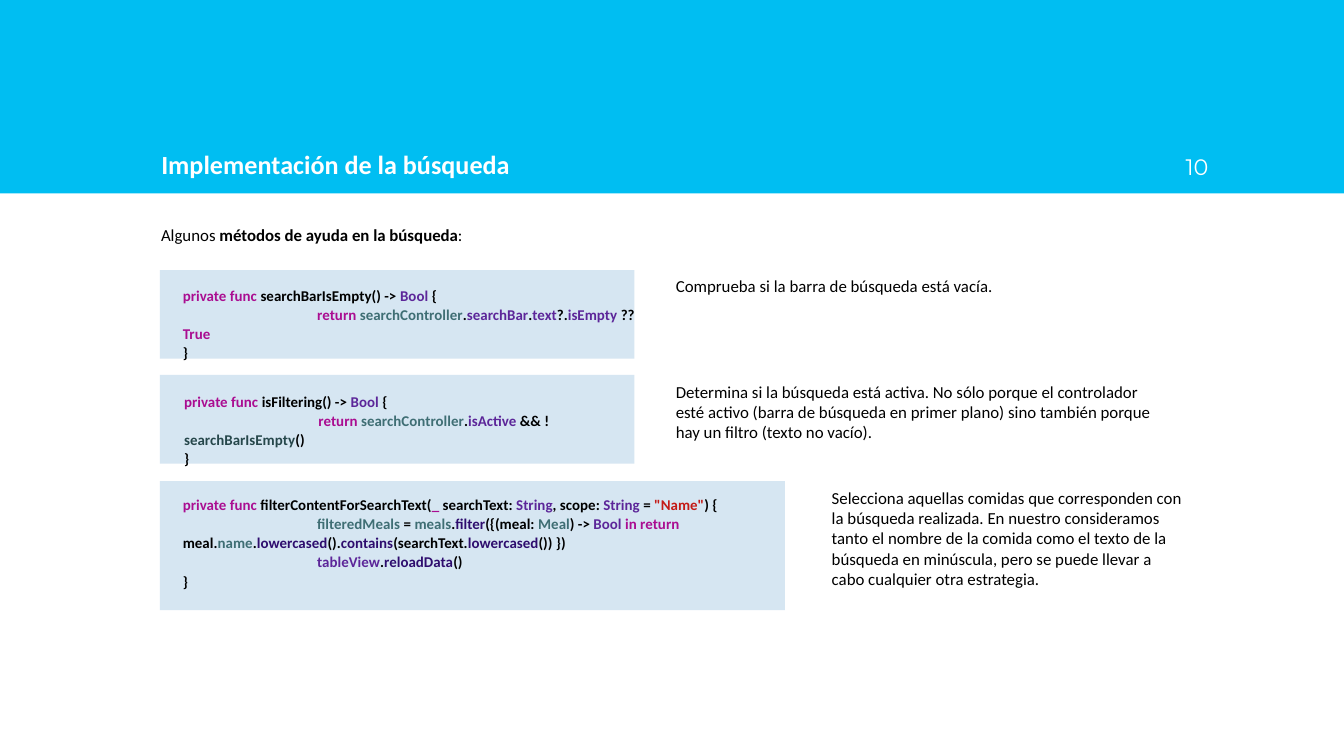
from lxml import etree
from pptx import Presentation
from pptx.dml.color import RGBColor
from pptx.enum.shapes import MSO_SHAPE
from pptx.enum.text import MSO_ANCHOR, MSO_AUTO_SIZE, PP_ALIGN
from pptx.oxml.ns import qn
from pptx.util import Inches, Pt

RECTANGLE = MSO_SHAPE.RECTANGLE
BOTTOM = MSO_ANCHOR.BOTTOM
NO_AUTOFIT = MSO_AUTO_SIZE.NONE
LEFT, RIGHT = PP_ALIGN.LEFT, PP_ALIGN.RIGHT


class Theme:
    font = "Calibri"
    number_font = "Montserrat"
    title_size = 14
    number_size = 12
    body_size = 9
    code_size = 8
    code_spacing = 1.07
    band = "00BEF2"
    panel = "D6E6F2"
    white = "FFFFFF"
    plain = "000000"
    keyword = "AA0D91"
    system = "5C2699"
    own = "3F6E74"
    own_call = "26474B"
    call = "2E0D6E"
    string = "C41A16"


def add_rectangle(left, top, width, height, color):
    shape = page.shapes.add_shape(
        RECTANGLE, Inches(left), Inches(top), Inches(width), Inches(height))
    shape.shadow.inherit = False
    shape.fill.solid()
    shape.fill.fore_color.rgb = RGBColor.from_string(color)
    shape.line.fill.background()
    return shape


def add_span(para, text, size, color, bold=False, font=Theme.font):
    span = para.add_run()
    span.text = text
    span.font.name = font
    span.font.size = Pt(size)
    span.font.bold = bold
    span.font.color.rgb = RGBColor.from_string(color)


deck = Presentation()
deck.slide_width = Inches(10)
deck.slide_height = deck.slide_width * 9 // 16
page = deck.slides.add_slide(deck.slide_layouts[5])

# Header band behind the title, and the page number
title = page.shapes.title
band = add_rectangle(0, 0, 10, 1.44, Theme.band)
title.element.addprevious(band.element)
title.left, title.top = Inches(1.1), Inches(0.71)
title.width, title.height = Inches(7.8), Inches(0.73)
number = page.shapes.add_textbox(
    Inches(8.49), Inches(0.71), Inches(0.6), Inches(0.73))
for box, align in ((title, LEFT), (number, RIGHT)):
    frame = box.text_frame
    frame.word_wrap = True
    frame.auto_size = NO_AUTOFIT
    frame.vertical_anchor = BOTTOM
    frame.margin_left = frame.margin_right = Inches(0.1)
    frame.margin_top = frame.margin_bottom = Inches(0.1)
    frame.paragraphs[0].alignment = align
add_span(title.text_frame.paragraphs[0], "Implementación de la búsqueda",
         Theme.title_size, Theme.white, bold=True)
add_span(number.text_frame.paragraphs[0], "10",
         Theme.number_size, Theme.white, font=Theme.number_font)

# Panels behind the code: left, top, width, height
for panel in ((1.19, 2.01, 3.53, 0.66),
              (1.19, 2.79, 3.53, 0.66),
              (1.19, 3.58, 4.65, 0.96)):
    add_rectangle(*panel, Theme.panel)

# Code: each line is a list of (text, color)
search_bar_code = [
    [("private func ", Theme.keyword), ("searchBarIsEmpty() -> ", Theme.plain),
     ("Bool ", Theme.system), ("{", Theme.plain)],
    [("\treturn ", Theme.keyword), ("searchController", Theme.own),
     (".", Theme.plain), ("searchBar", Theme.system), (".", Theme.plain),
     ("text", Theme.system), ("?.", Theme.plain), ("isEmpty", Theme.system),
     (" ?? ", Theme.plain), ("True", Theme.keyword)],
    [("}", Theme.plain)],
]
filtering_code = [
    [("private func ", Theme.keyword), ("isFiltering() -> ", Theme.plain),
     ("Bool ", Theme.system), ("{", Theme.plain)],
    [("\treturn ", Theme.keyword), ("searchController", Theme.own),
     (".", Theme.plain), ("isActive", Theme.system), (" && !", Theme.plain),
     ("searchBarIsEmpty", Theme.own_call), ("()", Theme.plain)],
    [("}", Theme.plain)],
]
filter_content_code = [
    [("private func ", Theme.keyword),
     ("filterContentForSearchText(", Theme.plain), ("_ ", Theme.keyword),
     ("searchText: ", Theme.plain), ("String", Theme.system),
     (", scope: ", Theme.plain), ("String", Theme.system),
     (" = ", Theme.plain), ('"Name"', Theme.string), (") {", Theme.plain)],
    [("\tfilteredMeals ", Theme.own), ("= ", Theme.plain),
     ("meals", Theme.own), (".", Theme.plain), ("filter", Theme.call),
     ("({(meal: ", Theme.plain), ("Meal", Theme.own), (") -> ", Theme.plain),
     ("Bool ", Theme.system), ("in return \t", Theme.keyword),
     ("meal.", Theme.plain), ("name", Theme.own), (".", Theme.plain),
     ("lowercased", Theme.call), ("().", Theme.plain),
     ("contains", Theme.call), ("(searchText.", Theme.plain),
     ("lowercased", Theme.call), ("()) })", Theme.plain)],
    [("\ttableView", Theme.system), (".", Theme.plain),
     ("reloadData", Theme.call), ("()", Theme.plain)],
    [("}", Theme.plain)],
]
# left, top, width, height, left margin, code
for left, top, width, height, margin, code in (
        (0.69, 2.02, 4.31, 0.59, 0.67, search_bar_code),
        (1.19, 2.81, 3.53, 0.58, 0.18, filtering_code),
        (0.69, 3.58, 5.06, 1.1, 0.67, filter_content_code)):
    box = page.shapes.add_textbox(
        Inches(left), Inches(top), Inches(width), Inches(height))
    frame = box.text_frame
    frame.word_wrap = True
    frame.margin_left = Inches(margin)
    frame.margin_top = frame.margin_right = frame.margin_bottom = Inches(0.1)
    for index, line in enumerate(code):
        para = frame.add_paragraph() if index else frame.paragraphs[0]
        para.line_spacing = Theme.code_spacing
        tabs = etree.SubElement(para._p.get_or_add_pPr(), qn("a:tabLst"))
        etree.SubElement(tabs, qn("a:tab"), pos=str(Inches(1)), algn="l")
        for text, color in line:
            add_span(para, text, Theme.code_size, color, bold=True)

# Introduction and explanations: left, top, width, height, (text, bold) spans
for left, top, width, height, spans in (
        (1.1, 1.62, 7.66, 0.25,
         [("Algunos ", False), ("métodos de ayuda en la búsqueda", True),
          (":", False)]),
        (4.93, 2, 2.69, 0.25,
         [("Comprueba si la barra de búsqueda está vacía.", False)]),
        (4.93, 2.79, 3.83, 0.56,
         [("Determina si la búsqueda está activa. No sólo porque el "
           "controlador esté activo (barra de búsqueda en primer plano) sino "
           "también porque hay un filtro (texto no vacío).", False)]),
        (6.09, 3.58, 2.81, 0.86,
         [("Selecciona aquellas comidas que corresponden con la búsqueda "
           "realizada. En nuestro consideramos tanto el nombre de la comida "
           "como el texto de la búsqueda en minúscula, pero se puede llevar a "
           "cabo cualquier otra estrategia.", False)])):
    box = page.shapes.add_textbox(
        Inches(left), Inches(top), Inches(width), Inches(height))
    box.text_frame.word_wrap = True
    for text, bold in spans:
        add_span(box.text_frame.paragraphs[0], text, Theme.body_size,
                 Theme.plain, bold)

deck.save("out.pptx")
